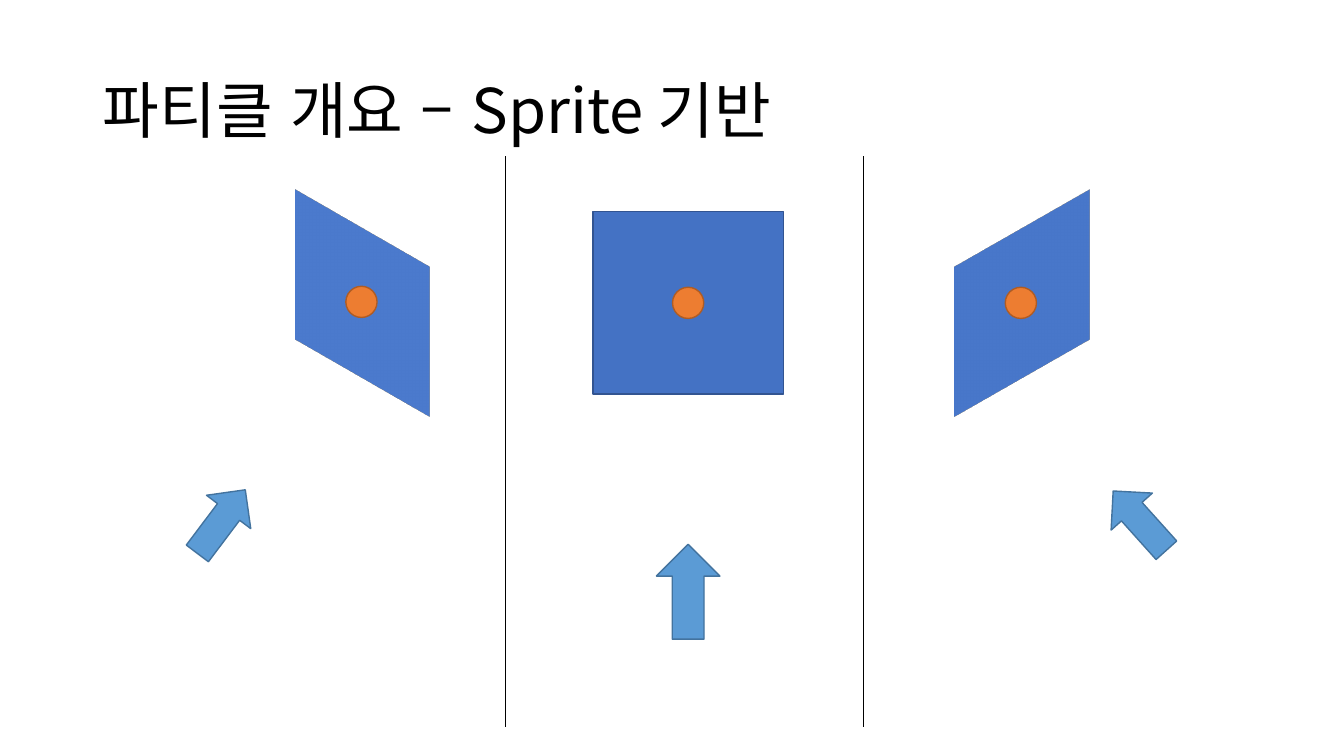
from lxml import etree
from pptx import Presentation
from pptx.dml.color import RGBColor
from pptx.enum.lang import MSO_LANGUAGE_ID as Language
from pptx.enum.shapes import MSO_CONNECTOR, MSO_SHAPE as Shape
from pptx.enum.text import MSO_ANCHOR, PP_ALIGN
from pptx.oxml.ns import qn
from pptx.util import Inches, Pt

BLACK = RGBColor(0x00, 0x00, 0x00)
SPRITE = RGBColor(0x44, 0x72, 0xC4)
SPRITE_EDGE = RGBColor(0x32, 0x54, 0x91)
VIEW = RGBColor(0x5B, 0x9B, 0xD5)
VIEW_EDGE = RGBColor(0x43, 0x73, 0x9E)
CENTER = RGBColor(0xED, 0x7D, 0x31)
CENTER_EDGE = RGBColor(0xAF, 0x5C, 0x24)


class SlideBuilder:
    font_name = "Noto Sans CJK KR"

    def __init__(self, slide):
        self.slide = slide

    def title(self, text, left, top, width, height, size):
        box = self.slide.shapes.title
        box.left, box.top = Inches(left), Inches(top)
        box.width, box.height = Inches(width), Inches(height)
        box.text_frame.vertical_anchor = MSO_ANCHOR.MIDDLE
        para = box.text_frame.paragraphs[0]
        para.alignment = PP_ALIGN.LEFT
        para.line_spacing = 0.9
        span = para.add_run()
        span.text = text
        span.font.size = Pt(size)
        span.font.name = self.font_name
        span.font.language_id = Language.KOREAN
        span.font.color.rgb = BLACK
        # Hangul takes its typeface from the East Asian slot
        east_asian = etree.SubElement(span.font._element, qn("a:ea"))
        east_asian.set("typeface", self.font_name)

    def shape(self, kind, left, top, width, height, fill, edge, rotation=0, camera=None):
        """Add a filled preset shape; camera names a 3-D view preset to tilt it."""
        shape = self.slide.shapes.add_shape(
            kind, Inches(left), Inches(top), Inches(width), Inches(height))
        shape.rotation = rotation
        shape.shadow.inherit = False
        shape.fill.solid()
        shape.fill.fore_color.rgb = fill
        shape.line.color.rgb = edge
        shape.line.width = Pt(1)
        if camera:
            scene = etree.SubElement(shape._element.spPr, qn("a:scene3d"))
            etree.SubElement(scene, qn("a:camera"), prst=camera)
            etree.SubElement(scene, qn("a:lightRig"), rig="threePt", dir="t")

    def divider(self, x, top, bottom):
        line = self.slide.shapes.add_connector(
            MSO_CONNECTOR.STRAIGHT, Inches(x), Inches(top), Inches(x), Inches(bottom))
        line.line.color.rgb = BLACK
        line.line.width = Pt(0.5)
        etree.SubElement(line._element.spPr, qn("a:effectLst"))


def main():
    deck = Presentation()
    deck.slide_width, deck.slide_height = Inches(13.33), Inches(7.5)
    page = SlideBuilder(deck.slides.add_slide(deck.slide_layouts[5]))

    page.title("파티클 개요 – Sprite 기반", 0.92, 0.4, 11.5, 1.45, size=44)
    for left, camera in ((2.65, "isometricLeftDown"), (5.88, None),
                         (9.19, "isometricRightUp")):
        page.shape(Shape.RECTANGLE, left, 2.1, 1.89, 1.81, SPRITE, SPRITE_EDGE,
                   camera=camera)
    for x in (5.01, 8.56):
        page.divider(x, 1.55, 7.21)
    for kind, left, top, width, height, rotation in (
            (Shape.RIGHT_ARROW, 1.8, 4.9, 0.79, 0.55, 307),
            (Shape.DOWN_ARROW, 6.51, 5.4, 0.63, 0.94, 180),
            (Shape.RIGHT_ARROW, 10.91, 4.89, 0.79, 0.55, 228.1)):
        page.shape(kind, left, top, width, height, VIEW, VIEW_EDGE, rotation=rotation)
    for left, top in ((3.43, 2.84), (6.67, 2.85), (9.97, 2.85)):
        page.shape(Shape.OVAL, left, top, 0.31, 0.31, CENTER, CENTER_EDGE)

    deck.save("out.pptx")


if __name__ == "__main__":
    main()
